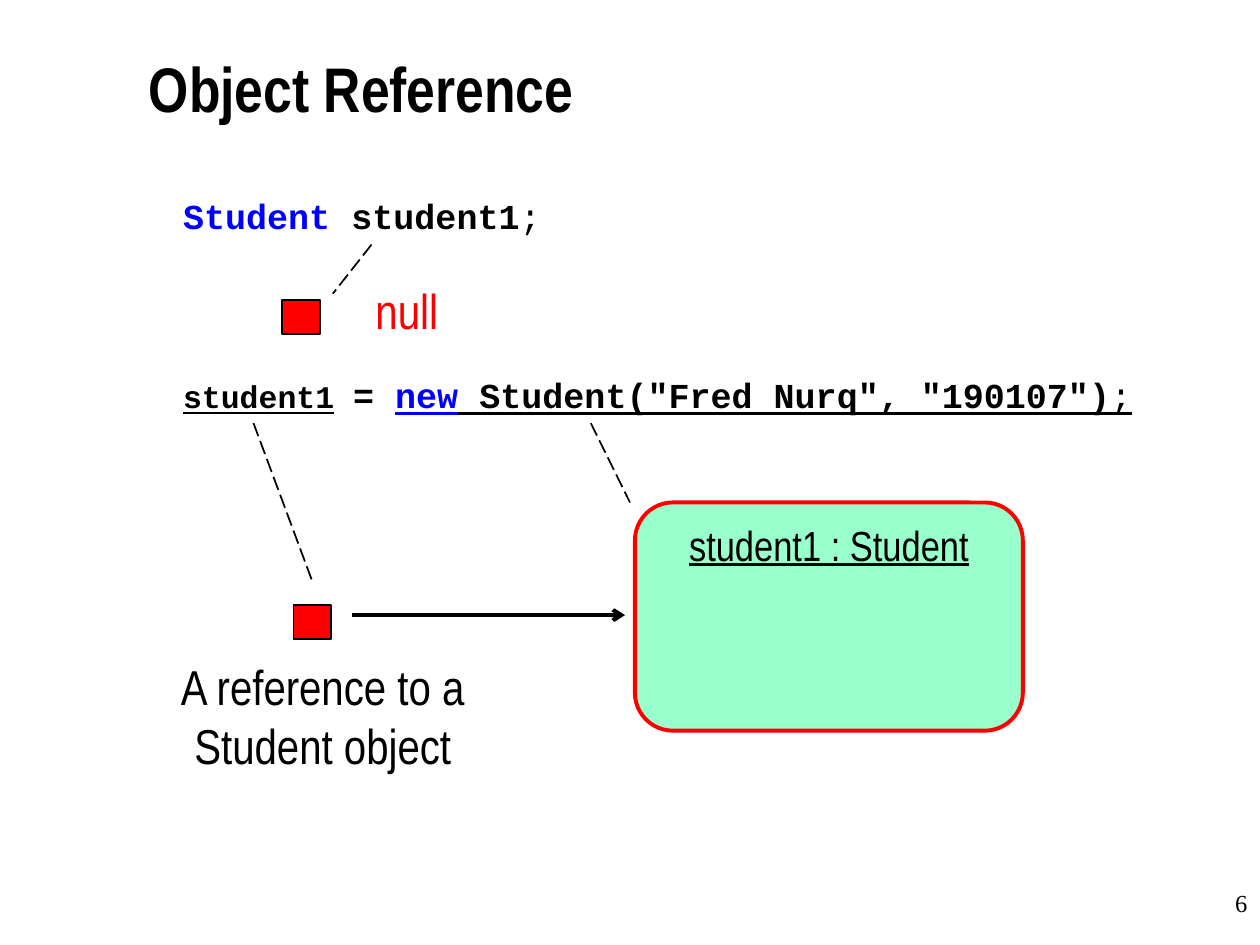
from lxml.etree import SubElement
from pptx import Presentation
from pptx.dml.color import RGBColor
from pptx.enum.dml import MSO_LINE
from pptx.enum.shapes import MSO_CONNECTOR, MSO_SHAPE
from pptx.enum.text import MSO_ANCHOR, MSO_AUTO_SIZE, PP_ALIGN
from pptx.oxml.ns import qn
from pptx.util import Cm, Pt

COLORS = {"black": "000000", "blue": "0000FF", "red": "FF0000", "mint": "99FFCC"}
SANS, MONO, SERIF = "Arial Narrow", "Courier New", "Times New Roman"


def color(name):
    return RGBColor.from_string(COLORS[name])


def format_run(r, font, size, ink="black", bold=False, underline=False):
    r.font.name = font
    r.font.size = Pt(size)
    r.font.color.rgb = color(ink)
    r.font.bold = bold
    r.font.underline = underline


def fill_text(tf, text, font, size, align=PP_ALIGN.LEFT, **style):
    tf.text = text
    p = tf.paragraphs[0]
    p.alignment = align
    for r in p.runs:
        format_run(r, font, size, **style)


def place(sp, left, top, width, height):
    sp.left, sp.top, sp.width, sp.height = Cm(left), Cm(top), Cm(width), Cm(height)
    tf = sp.text_frame
    tf.margin_left = tf.margin_top = tf.margin_right = tf.margin_bottom = 0
    tf.auto_size = MSO_AUTO_SIZE.NONE
    return tf


def add_title(s, text):
    tf = place(s.shapes.title, 3, 0.91, 19.43, 1.9)
    tf.vertical_anchor = MSO_ANCHOR.MIDDLE
    fill_text(tf, text, SANS, 36, bold=True)
    tf.paragraphs[0].line_spacing = 0.9


def add_code(s, lines, gap):
    """Each line is a list of (text, style) pieces; gap is the space between lines."""
    tf = place(s.placeholders[1], 3.69, 3.92, 21.03, 13.12)
    tf.vertical_anchor = MSO_ANCHOR.TOP
    for i, pieces in enumerate(lines):
        p = tf.add_paragraph() if i else tf.paragraphs[0]
        p.space_before = Pt(gap if i else 0)
        pPr = p._p.get_or_add_pPr()
        pPr.set("marL", "0")
        pPr.set("indent", "0")
        SubElement(pPr, qn("a:buNone"))
        for text, style in pieces:
            r = p.add_run()
            r.text = text
            format_run(r, MONO, **{"size": 20, **style})


def add_label(s, box, text, font, size, wrap=False, **style):
    tf = s.shapes.add_textbox(*map(Cm, box)).text_frame
    tf.word_wrap = wrap
    tf.auto_size = MSO_AUTO_SIZE.NONE if wrap else MSO_AUTO_SIZE.SHAPE_TO_FIT_TEXT
    fill_text(tf, text, font, size, **style)


def add_box(s, kind, box, fill, line, width):
    sp = s.shapes.add_shape(kind, *map(Cm, box))
    sp.shadow.inherit = False
    sp.fill.solid()
    sp.fill.fore_color.rgb = color(fill)
    sp.line.color.rgb = color(line)
    sp.line.width = Pt(width)
    return sp


def add_line(s, ends, width=1, arrow=False):
    cn = s.shapes.add_connector(MSO_CONNECTOR.STRAIGHT, *map(Cm, ends))
    cn.line.color.rgb = color("black")
    cn.line.width = Pt(width)
    if arrow:
        SubElement(cn.line._get_or_add_ln(), qn("a:tailEnd"), type="arrow")
    else:
        cn.line.dash_style = MSO_LINE.LONG_DASH
    SubElement(cn._element.spPr, qn("a:effectLst"))


def main():
    prs = Presentation()
    prs.slide_width, prs.slide_height = Cm(25.4), Cm(19.05)
    s = prs.slides.add_slide(prs.slide_layouts[1])

    # Title and code
    add_title(s, "Object Reference")
    bold = {"bold": True}
    keyword = {"bold": True, "ink": "blue"}
    linked = {"underline": True}
    add_code(s, [
        [("Student ", keyword), ("student1", bold), (";", {})],
        [("student1", {**bold, **linked, "size": 18}), (" ", {"size": 18}),
         ("= ", bold), ("new", {**keyword, **linked}), (" ", linked),
         ('Student("Fred Nurq", "190107")', {**bold, **linked}), (";", linked)],
    ], gap=78)

    # Reference squares
    for left, top in ((5.69, 6.05), (5.92, 12.19)):
        add_box(s, MSO_SHAPE.RECTANGLE, (left, top, 0.76, 0.69), "red", "black", 1)

    # Student object
    student = add_box(s, MSO_SHAPE.ROUNDED_RECTANGLE, (12.8, 10.13, 7.82, 4.6),
                      "mint", "red", 2.25)
    tf = student.text_frame
    tf.word_wrap = False
    tf.vertical_anchor = MSO_ANCHOR.TOP
    fill_text(tf, "student1 : Student", SANS, 24, PP_ALIGN.CENTER, underline=True)

    # Labels and slide number
    add_label(s, (7.32, 5.54, 1.8, 1.45), "null", SANS, 28, ink="red")
    add_label(s, (3.38, 13.11, 6.25, 2.64), "A reference to a\vStudent object",
              SANS, 28, align=PP_ALIGN.CENTER)
    add_label(s, (20.12, 17.78, 5.28, 1.27), "6", SERIF, 14, wrap=True,
              align=PP_ALIGN.RIGHT)

    # Dashed links from code to parts, and the reference arrow
    for ends in ((7.49, 4.93, 6.71, 5.92), (5.11, 8.53, 6.3, 11.73),
                 (11.91, 8.53, 12.7, 10.13)):
        add_line(s, ends)
    add_line(s, (7.09, 12.4, 12.6, 12.4), width=2.25, arrow=True)

    prs.save("out.pptx")


if __name__ == "__main__":
    main()
